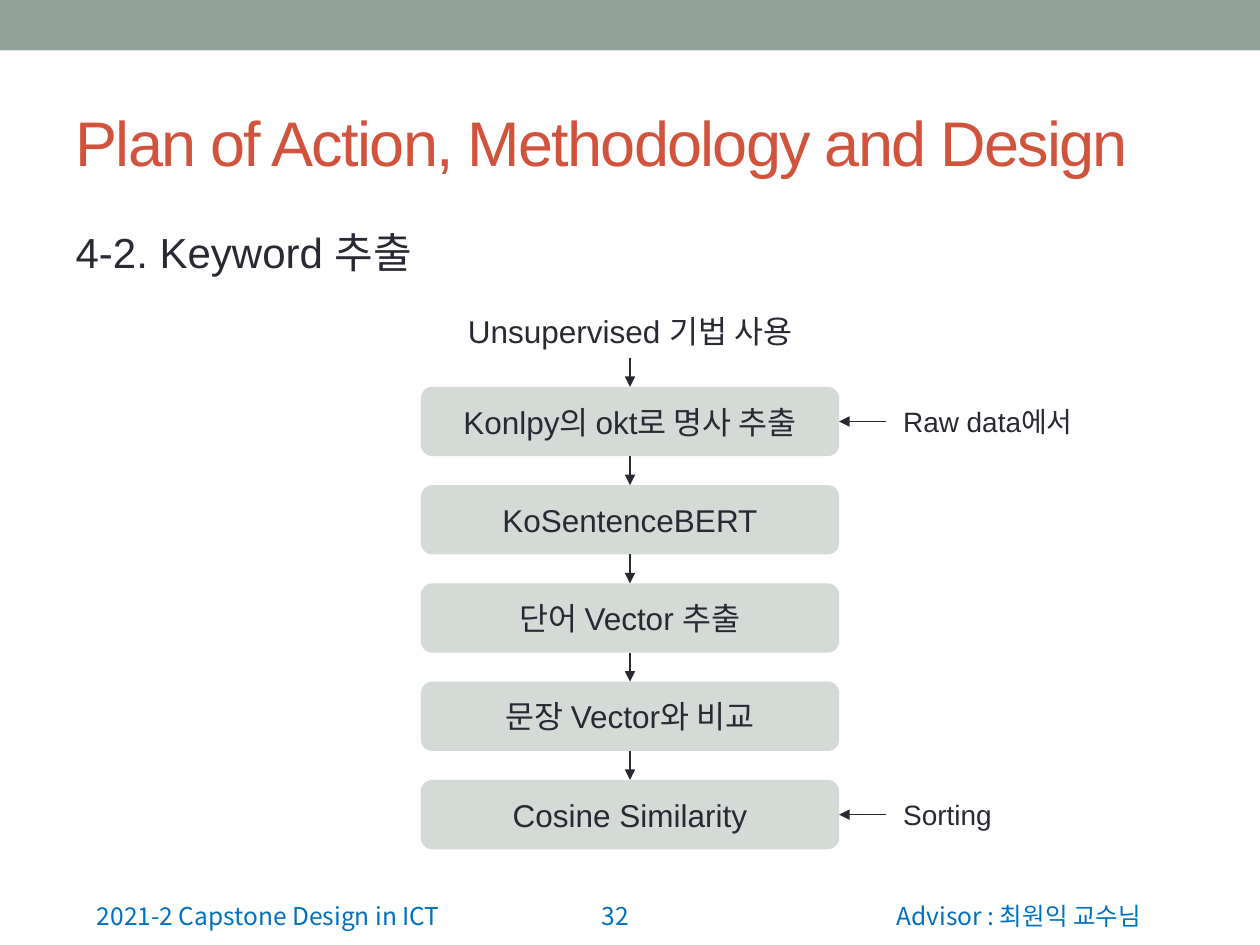
from lxml import etree
from pptx import Presentation, util as u
from pptx.dml.color import RGBColor
from pptx.enum import shapes, text
from pptx.oxml import ns

COLORS = {
    "band": "93A299",
    "title": "D2533C",
    "ink": "292934",
    "box": "D4DAD6",
    "footer": "0070C0",
}
LATIN, KOREAN = "Arial", "Noto Sans CJK KR"
LEFT, CENTER, RIGHT = text.PP_ALIGN.LEFT, text.PP_ALIGN.CENTER, text.PP_ALIGN.RIGHT
TOP, MIDDLE, BOTTOM = text.MSO_ANCHOR.TOP, text.MSO_ANCHOR.MIDDLE, text.MSO_ANCHOR.BOTTOM
STEPS = [
    "Konlpy의 okt로 명사 추출",
    "KoSentenceBERT",
    "단어 Vector 추출",
    "문장 Vector와 비교",
    "Cosine Similarity",
]


def color(name):
    return RGBColor.from_string(COLORS[name])


def inches(box):
    return [u.Inches(value) for value in box]


def write(shape, words, size, ink="ink", font=LATIN, align=LEFT, anchor=TOP):
    frame = shape.text_frame
    frame.text = words
    frame.word_wrap = True
    frame.auto_size = text.MSO_AUTO_SIZE.NONE
    frame.vertical_anchor = anchor
    paragraph = frame.paragraphs[0]
    paragraph.alignment = align
    run = paragraph.runs[0]
    run.font.size = u.Pt(size)
    run.font.name = font
    run.font.color.rgb = color(ink)
    east_asian = etree.SubElement(run.font._element, ns.qn("a:ea"))
    east_asian.set("typeface", KOREAN)
    return paragraph


def add_label(slide, box, words, size, **style):
    return write(slide.shapes.add_textbox(*inches(box)), words, size, **style)


def add_box(slide, box, kind, fill):
    shape = slide.shapes.add_shape(kind, *inches(box))
    shape.shadow.inherit = False
    shape.fill.solid()
    shape.fill.fore_color.rgb = color(fill)
    shape.line.fill.background()
    return shape


def add_arrow(slide, start, end):
    arrow = slide.shapes.add_connector(
        shapes.MSO_CONNECTOR.STRAIGHT, *inches(start + end))
    arrow.line.color.rgb = color("ink")
    arrow.line.width = u.Pt(0.75)
    tail = etree.SubElement(arrow.line._get_or_add_ln(), ns.qn("a:tailEnd"))
    tail.set("type", "triangle")
    etree.SubElement(arrow._element.spPr, ns.qn("a:effectLst"))
    return arrow


def place(placeholder, box):
    placeholder.left, placeholder.top, placeholder.width, placeholder.height = inches(box)


def fill_title(slide, box):
    title = slide.shapes.title
    place(title, box)
    paragraph = write(title, "Plan of Action, Methodology and Design", 36,
                      ink="title", anchor=MIDDLE)
    paragraph.runs[0].font._element.set("spc", "-100")


def fill_body(slide, box):
    body = slide.placeholders[1]
    place(body, box)
    paragraph = write(body, "4-2. Keyword 추출", 24)
    paragraph.space_before = u.Pt(4.8)
    properties = paragraph._element.get_or_add_pPr()
    properties.set("marL", "0")
    properties.set("indent", "0")
    etree.SubElement(properties, ns.qn("a:buNone"))


def add_flow(slide, box):
    left, top, width, height = box
    step_height = 0.55
    pitch = (height - step_height) / (len(STEPS) - 1)
    gap = pitch - step_height
    middle = left + width / 2
    add_label(slide, (left, top - 0.64, width, 0.4), "Unsupervised 기법 사용", 18, align=CENTER)
    steps = []
    for index, words in enumerate(STEPS):
        y = top + index * pitch
        step = add_box(slide, (left, y, width, step_height),
                       shapes.MSO_SHAPE.ROUNDED_RECTANGLE, "box")
        write(step, words, 18, align=CENTER, anchor=MIDDLE)
        arrow = add_arrow(slide, (middle, y - gap), (middle, y))
        if steps:
            arrow.begin_connect(steps[-1], 2)
        arrow.end_connect(step, 0)
        steps.append(step)
    for index, note in ((0, "Raw data에서"), (len(STEPS) - 1, "Sorting")):
        y = top + index * pitch + step_height / 2
        right = left + width
        arrow = add_arrow(slide, (right + 0.37, y), (right, y))
        arrow.end_connect(steps[index], 3)
        add_label(slide, (right + 0.41, y - 0.185, 1.76, 0.37), note, 16)


def add_footer(slide, box):
    left, top, width, height = box
    side = 3.17
    parts = [
        (left, side, "2021-2 Capstone Design in ICT", LEFT),
        (left + 3.46, 0.96, "32", RIGHT),
        (left + width - side, side, "Advisor : 최원익 교수님", CENTER),
    ]
    for x, part_width, words, align in parts:
        add_label(slide, (x, top, part_width, height), words, 14,
                  ink="footer", font=KOREAN, align=align, anchor=BOTTOM)


def main():
    presentation = Presentation()
    presentation.slide_width, presentation.slide_height = inches((10, 7.5))
    slide = presentation.slides.add_slide(presentation.slide_layouts[1])
    add_box(slide, (0, 0, 10, 0.4), shapes.MSO_SHAPE.RECTANGLE, "band")
    fill_title(slide, (0.5, 0.58, 9, 1.08))
    fill_body(slide, (0.5, 1.75, 9.22, 0.9))
    add_flow(slide, (3.34, 3.07, 3.32, 3.67))
    add_footer(slide, (0.67, 6.93, 9, 0.5))
    presentation.save("out.pptx")


if __name__ == "__main__":
    main()
